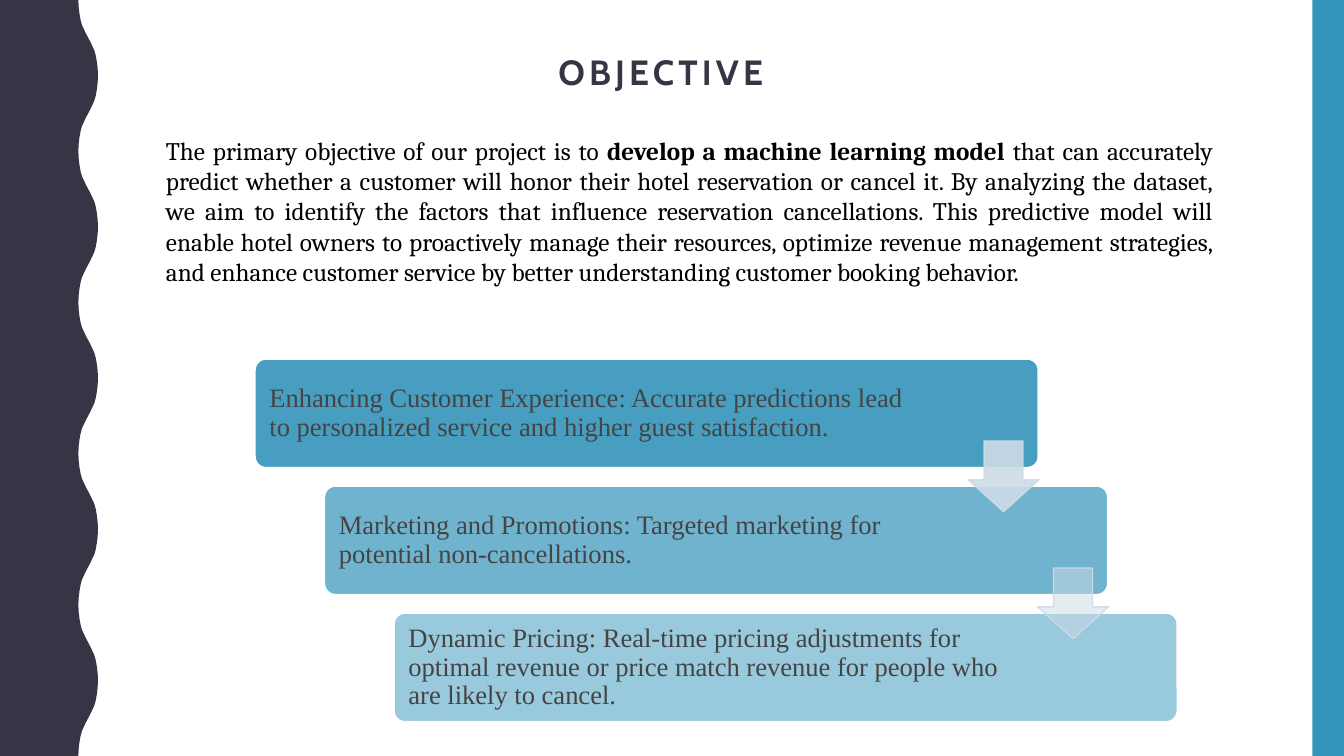
import pptx
import pptx.util
import pptx.dml.color
import pptx.enum.shapes
import pptx.enum.text
import pptx.oxml
import pptx.oxml.ns

Pt = pptx.util.Pt
RGBColor = pptx.dml.color.RGBColor
SHAPE = pptx.enum.shapes.MSO_SHAPE
ALIGN = pptx.enum.text.PP_ALIGN
ANCHOR = pptx.enum.text.MSO_ANCHOR

DARK = RGBColor(0x37, 0x35, 0x45)
BLUE = RGBColor(0x34, 0x94, 0xBA)
PALE = RGBColor(0xCE, 0xDC, 0xE7)
GREY = RGBColor(0x44, 0x44, 0x44)
WHITE = RGBColor(0xFF, 0xFF, 0xFF)
BLACK = RGBColor(0, 0, 0)

TITLE = "OBJECTIVE"
BODY = [
    ("The primary objective of our project is to ", False),
    ("develop a machine learning model", True),
    (" that can accurately predict whether a customer will honor their hotel "
     "reservation or cancel it. By analyzing the dataset, we aim to identify the "
     "factors that influence reservation cancellations. This predictive model will "
     "enable hotel owners to proactively manage their resources, optimize revenue "
     "management strategies, and enhance customer service by better understanding "
     "customer booking behavior.", False),
]
# text, opacity in percent, right inset
CARDS = [
    ("Enhancing Customer Experience: Accurate predictions lead to personalized "
     "service and higher guest satisfaction.", 90, 87),
    ("Marketing and Promotions: Targeted marketing for potential "
     "non-cancellations.", 70, 107),
    ("Dynamic Pricing: Real-time pricing adjustments for optimal revenue or price "
     "match revenue for people who are likely to cancel.", 50, 107),
]
ARROW_OPACITIES = [90, 50]

TITLE_FONT = {"name": "Cabin", "size": Pt(25), "bold": True}
BODY_FONT = {"name": "Cambria", "size": Pt(18)}
CARD_FONT = {"name": "Times New Roman", "size": Pt(19)}

PAGE_WIDTH, PAGE_HEIGHT = 960, 540
STEP_X, STEP_Y = 49.65, 90.75
CARD_LEFT, CARD_TOP, CARD_WIDTH, CARD_HEIGHT = 182.2, 256.5, 559.4, 77.5
ARROW_LEFT, ARROW_TOP, ARROW_SIZE = 691.6, 315, 50.5

# Half of one wave, from trough to crest
WAVE_PERIOD = 108
HALF_WAVE = [(56, 0), (56.2, 5), (56.8, 10), (57.6, 14.4), (58.6, 18), (60, 21),
             (61.4, 24), (63, 27), (64.6, 30), (66, 33), (67.4, 36), (68.4, 39.6),
             (69.2, 44), (69.8, 49), (70, 54)]


def set_values(target, values):
    for name, value in values.items():
        setattr(target, name, value)


def add_span(para, text, font, color):
    span = para.add_run()
    span.text = text
    set_values(span.font, font)
    span.font.color.rgb = color
    return span


def paint(fill, color, opacity=100):
    """Solid fill with an opacity in percent."""
    fill.solid()
    fill.fore_color.rgb = color
    if opacity < 100:
        srgb = fill._xPr.find(".//" + pptx.oxml.ns.qn("a:srgbClr"))
        alpha = pptx.oxml.parse_xml(
            '<a:alpha xmlns:a="http://schemas.openxmlformats.org/drawingml/2006/main" '
            f'val="{opacity * 1000}"/>')
        srgb.append(alpha)


def add_block(page, kind, box, color, opacity=100, line=None, line_opacity=100):
    block = page.shapes.add_shape(kind, *map(Pt, box))
    block.shadow.inherit = False
    paint(block.fill, color, opacity)
    if line is None:
        block.line.fill.background()
    else:
        block.line.width = Pt(1)
        paint(block.line.fill, line, line_opacity)
    return block


def add_wave(page):
    falling = [(x, WAVE_PERIOD - y) for x, y in reversed(HALF_WAVE[1:-1])]
    wave = [(x, y + start) for start in range(0, PAGE_HEIGHT, WAVE_PERIOD)
            for x, y in HALF_WAVE + falling]
    outline = wave + [(HALF_WAVE[0][0], PAGE_HEIGHT), (0, PAGE_HEIGHT)]
    builder = page.shapes.build_freeform(0, 0)
    builder.add_line_segments([(Pt(x), Pt(y)) for x, y in outline], close=True)
    band = builder.convert_to_shape()
    band.shadow.inherit = False
    paint(band.fill, DARK)
    band.line.fill.background()


def add_text_box(page, box, align):
    frame = page.shapes.add_textbox(*map(Pt, box)).text_frame
    frame.word_wrap = True
    para = frame.paragraphs[0]
    para.alignment = align
    return para


def add_card(page, index, text, opacity, right_inset):
    box = (CARD_LEFT + index * STEP_X, CARD_TOP + index * STEP_Y,
           CARD_WIDTH, CARD_HEIGHT)
    card = add_block(page, SHAPE.ROUNDED_RECTANGLE, box, BLUE, opacity, WHITE)
    card.adjustments[0] = 0.1
    set_values(card.text_frame, {
        "word_wrap": True, "vertical_anchor": ANCHOR.MIDDLE,
        "margin_left": Pt(8), "margin_right": Pt(right_inset),
        "margin_top": Pt(8), "margin_bottom": Pt(8)})
    para = card.text_frame.paragraphs[0]
    set_values(para, {"alignment": ALIGN.LEFT, "line_spacing": 0.9})
    add_span(para, text, CARD_FONT, GREY)


def add_arrow(page, index, opacity):
    box = (ARROW_LEFT + index * STEP_X, ARROW_TOP + index * STEP_Y,
           ARROW_SIZE, ARROW_SIZE)
    arrow = add_block(page, SHAPE.DOWN_ARROW, box, PALE, opacity, PALE, 90)
    arrow.adjustments[0] = 0.45
    arrow.adjustments[1] = 0.45
    arrow.adjustments[0] = 0.55


def main():
    deck = pptx.Presentation()
    deck.slide_width, deck.slide_height = Pt(PAGE_WIDTH), Pt(PAGE_HEIGHT)
    page = deck.slides.add_slide(deck.slide_layouts[6])

    add_wave(page)
    add_block(page, SHAPE.RECTANGLE, (937.5, 0, 22.5, PAGE_HEIGHT), BLUE)

    title = add_text_box(page, (182, 32.5, 580, 58), ALIGN.CENTER)
    span = add_span(title, TITLE, TITLE_FONT, DARK)
    span.font._element.set("spc", "300")

    for index, card in enumerate(CARDS):
        add_card(page, index, *card)
    for index, opacity in enumerate(ARROW_OPACITIES):
        add_arrow(page, index, opacity)

    body = add_text_box(page, (111.5, 93, 762, 116), ALIGN.JUSTIFY)
    for text, bold in BODY:
        add_span(body, text, {**BODY_FONT, "bold": bold}, BLACK)

    deck.save("out.pptx")


if __name__ == "__main__":
    main()
